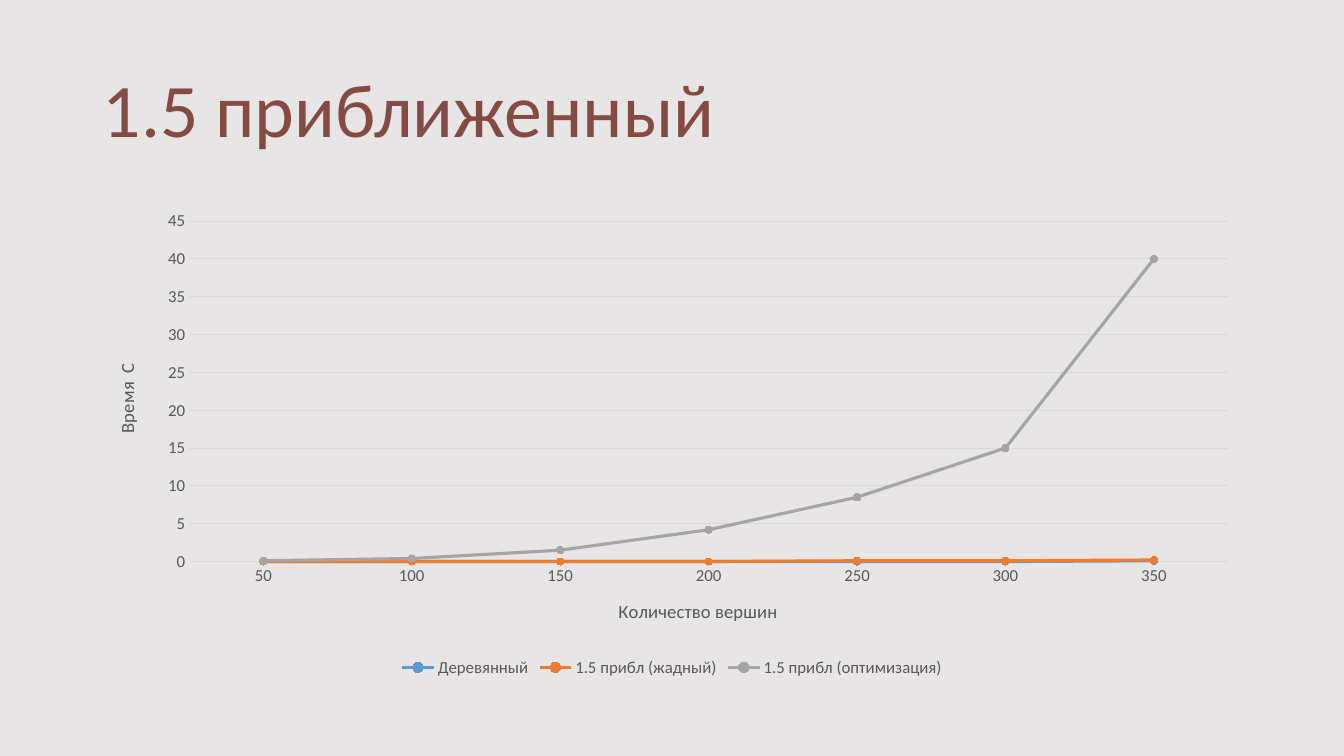
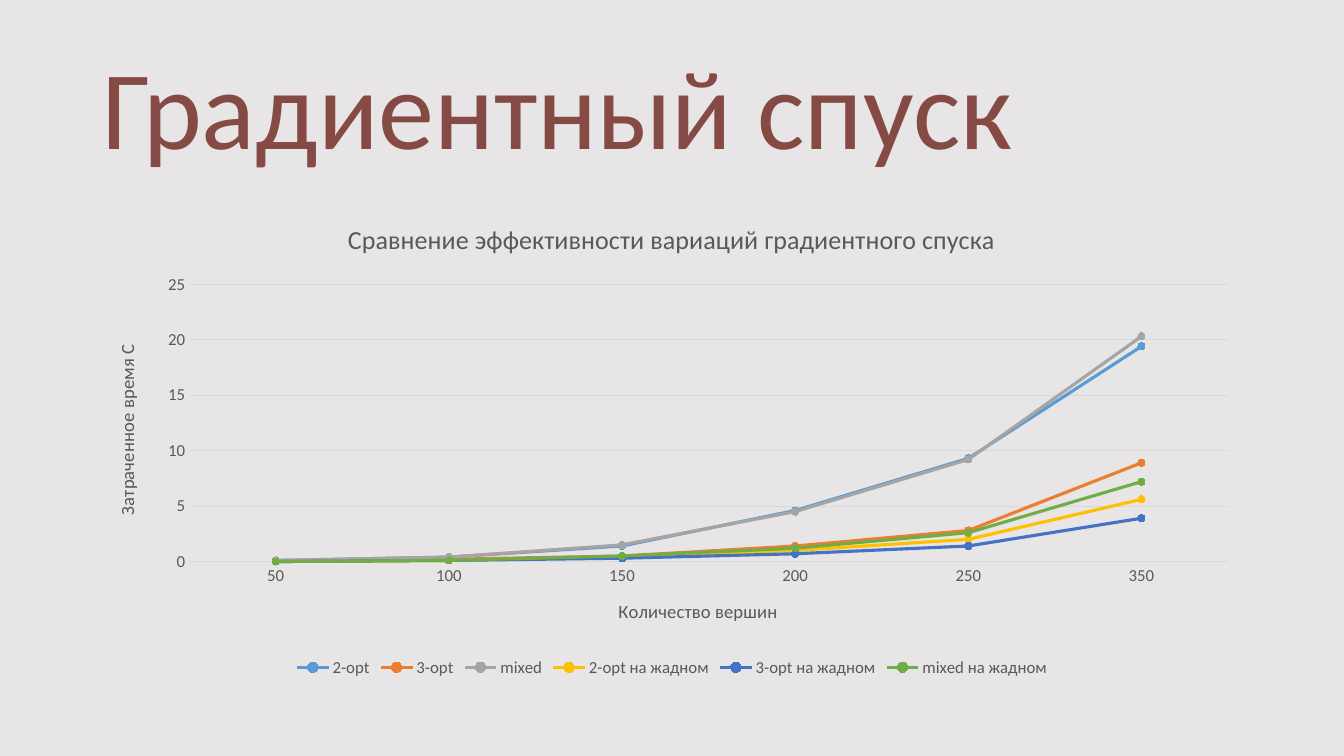
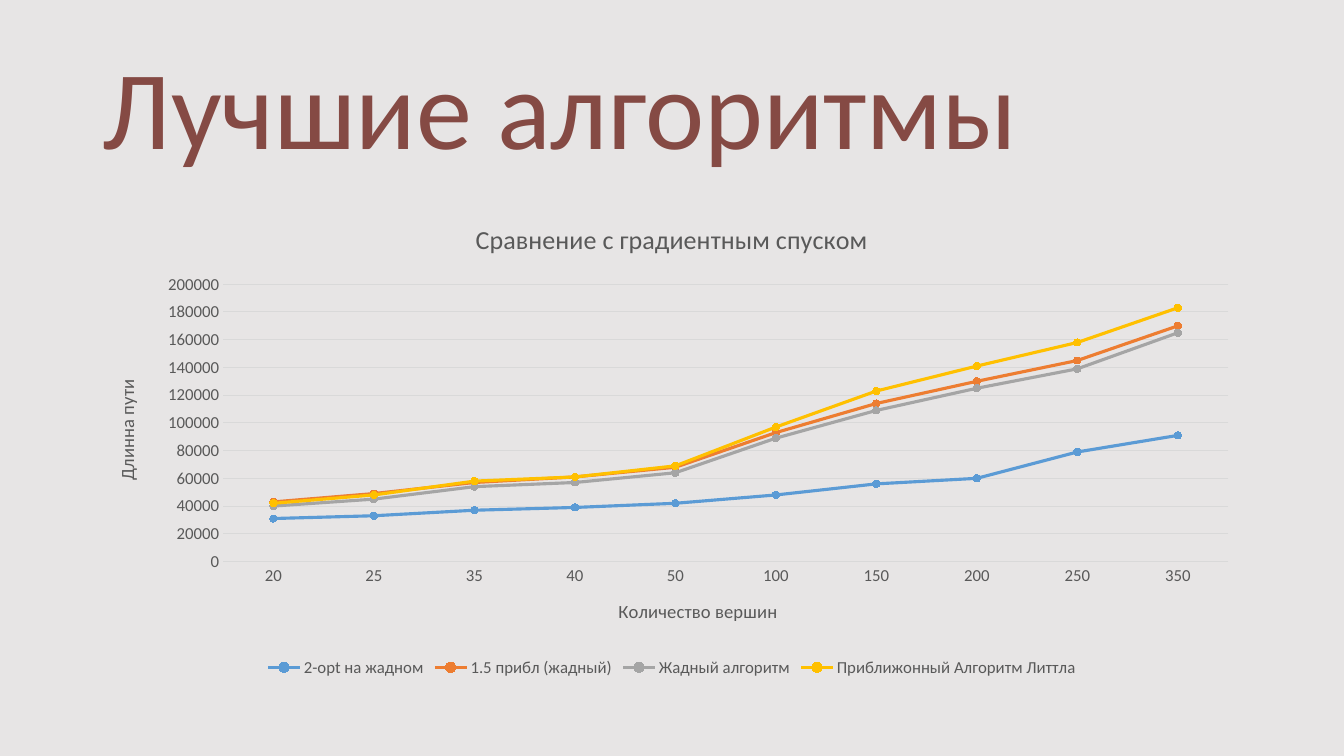
from pptx import Presentation
from pptx.chart.data import CategoryChartData
from pptx.dml.color import RGBColor
from pptx.enum.chart import (XL_CHART_TYPE, XL_LEGEND_POSITION, XL_MARKER_STYLE,
                             XL_TICK_MARK)
from pptx.enum.text import MSO_ANCHOR, MSO_AUTO_SIZE, PP_ALIGN
from pptx.util import Inches, Pt

LINE_MARKERS = XL_CHART_TYPE.LINE_MARKERS
BOTTOM = XL_LEGEND_POSITION.BOTTOM
CIRCLE = XL_MARKER_STYLE.CIRCLE
NO_TICK = XL_TICK_MARK.NONE
TITLE_ONLY = 5

FONT = "Calibri"
BACKGROUND, HEADING, GREY, GRID = "E7E5E5", "854A44", "595959", "D9D9D9"
PALETTE = ["5B9BD5", "ED7D31", "A5A5A5", "FFC000", "4472C4", "70AD47"]

WIDTH, HEIGHT = 13.33, 7.5
MARGIN = 0.92
CONTENT_WIDTH = WIDTH - 2 * MARGIN
TITLE_BOX = (MARGIN, 0.4, CONTENT_WIDTH, 1.45)
CHART_BOX = (MARGIN, 2, CONTENT_WIDTH, 4.76)

VERTICES = "Количество вершин"
SLIDES = [
    {
        "heading": "1.5 приближенный", "size": 54,
        "caption": None, "measure": "Время  С",
        "vertices": [50, 100, 150, 200, 250, 300, 350],
        "algorithms": {
            "Деревянный": [0, 0, 0, 0, 0, 0, 0.1],
            "1.5 прибл (жадный)": [0, 0, 0, 0, 0.1, 0.1, 0.2],
            "1.5 прибл (оптимизация)": [0.1, 0.4, 1.5, 4.2, 8.5, 15, 40],
        },
    },
    {
        "heading": "Градиентный спуск", "size": 80,
        "caption": "Сравнение эффективности вариаций градиентного спуска",
        "measure": "Затраченное время С",
        "vertices": [50, 100, 150, 200, 250, 350],
        "algorithms": {
            "2-opt": [0.1, 0.4, 1.4, 4.6, 9.3, 19.4],
            "3-opt": [0, 0.2, 0.5, 1.4, 2.8, 8.9],
            "mixed": [0.1, 0.4, 1.5, 4.5, 9.2, 20.3],
            "2-opt на жадном": [0, 0.1, 0.4, 1, 2, 5.6],
            "3-opt на жадном": [0, 0.1, 0.3, 0.7, 1.4, 3.9],
            "mixed на жадном": [0, 0.1, 0.5, 1.2, 2.6, 7.2],
        },
    },
    {
        "heading": "Лучшие алгоритмы", "size": 80,
        "caption": "Сравнение с градиентным спуском", "measure": "Длинна пути",
        "vertices": [20, 25, 35, 40, 50, 100, 150, 200, 250, 350],
        "algorithms": {
            "2-opt на жадном": [31000, 33000, 37000, 39000, 42000,
                                48000, 56000, 60000, 79000, 91000],
            "1.5 прибл (жадный)": [43000, 49000, 57000, 61000, 68000,
                                   93000, 114000, 130000, 145000, 170000],
            "Жадный алгоритм": [40000, 45000, 54000, 57000, 64000,
                                89000, 109000, 125000, 139000, 165000],
            "Приближонный Алгоритм Литтла": [42000, 48000, 58000, 61000, 69000,
                                             97000, 123000, 141000, 158000, 183000],
        },
    },
]


def rgb(code):
    return RGBColor.from_string(code)


def style_font(font, size, color):
    font.name, font.size, font.bold = FONT, Pt(size), False
    font.color.rgb = rgb(color)


def style_line(line, color, width):
    line.color.rgb = rgb(color)
    line.width = Pt(width)


def place(shape, box):
    shape.left, shape.top, shape.width, shape.height = map(Inches, box)


def write(frame, text, size, color):
    paragraph = frame.paragraphs[0]
    run = paragraph.add_run()
    run.text = text
    style_font(run.font, size, color)
    return paragraph


def add_heading(slide, text, size):
    frame = slide.shapes.title.text_frame
    frame.auto_size = MSO_AUTO_SIZE.NONE
    frame.vertical_anchor = MSO_ANCHOR.MIDDLE
    paragraph = write(frame, text, size, HEADING)
    paragraph.alignment = PP_ALIGN.LEFT
    paragraph.line_spacing = 0.9


def style_axis(axis, title):
    axis.major_tick_mark = axis.minor_tick_mark = NO_TICK
    style_font(axis.tick_labels.font, 12, GREY)
    write(axis.axis_title.text_frame, title, 13.3, GREY)


def add_line_chart(slide, content):
    data = CategoryChartData()
    data.categories = [str(count) for count in content["vertices"]]
    for algorithm, values in content["algorithms"].items():
        data.add_series(algorithm, values)
    chart = slide.shapes.add_chart(LINE_MARKERS, *map(Inches, CHART_BOX), data).chart
    style_font(chart.font, 10, "000000")

    chart.has_title = bool(content["caption"])
    if content["caption"]:
        write(chart.chart_title.text_frame, content["caption"], 18.6, GREY)
        chart.chart_title.include_in_layout = False

    chart.has_legend = True
    chart.legend.position = BOTTOM
    chart.legend.include_in_layout = False
    style_font(chart.legend.font, 12, GREY)

    style_axis(chart.category_axis, VERTICES)
    style_line(chart.category_axis.format.line, GRID, 0.75)
    style_axis(chart.value_axis, content["measure"])
    chart.value_axis.format.line.fill.background()
    style_line(chart.value_axis.major_gridlines.format.line, GRID, 0.75)

    plot = chart.plots[0]
    plot.vary_by_categories = False
    for algorithm, color in zip(plot.series, PALETTE):
        algorithm.smooth = False
        style_line(algorithm.format.line, color, 2.25)
        marker = algorithm.marker
        marker.style, marker.size = CIRCLE, 5
        marker.format.fill.solid()
        marker.format.fill.fore_color.rgb = rgb(color)
        style_line(marker.format.line, color, 0.75)


def main():
    deck = Presentation()
    deck.slide_width, deck.slide_height = Inches(WIDTH), Inches(HEIGHT)
    backdrop = deck.slide_master.background.fill
    backdrop.solid()
    backdrop.fore_color.rgb = rgb(BACKGROUND)
    layout = deck.slide_layouts[TITLE_ONLY]
    place(layout.placeholders[0], TITLE_BOX)

    for content in SLIDES:
        slide = deck.slides.add_slide(layout)
        add_heading(slide, content["heading"], content["size"])
        add_line_chart(slide, content)
    deck.save("out.pptx")


if __name__ == "__main__":
    main()
